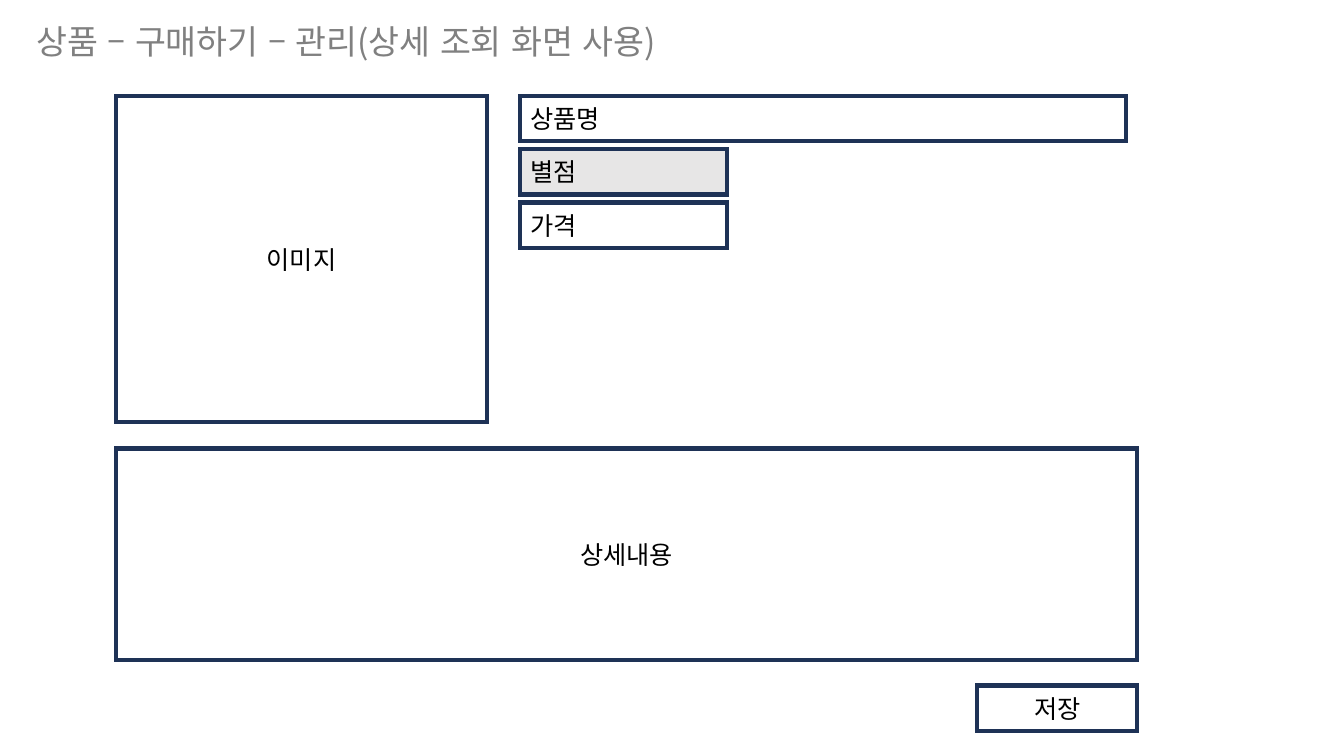
from dataclasses import dataclass

import lxml.etree
import pptx
import pptx.dml.color
import pptx.enum.lang
import pptx.enum.shapes
import pptx.enum.text
import pptx.oxml.ns
import pptx.slide
import pptx.text.text
import pptx.util

Inches = pptx.util.Inches
Align = pptx.enum.text.PP_ALIGN
Anchor = pptx.enum.text.MSO_ANCHOR


@dataclass(frozen=True)
class Theme:
    font: str = "Noto Sans CJK KR"
    title_size: int = 24
    label_size: int = 18
    border_width: int = 3
    title: str = "808080"
    label: str = "000000"
    border: str = "1E3256"
    editable: str = "FFFFFF"
    read_only: str = "E7E6E6"


THEME = Theme()


@dataclass(frozen=True)
class Field:
    label: str
    left: float
    top: float
    width: float
    height: float = 0.45
    fill: str = THEME.editable
    align: Align = Align.LEFT


LEFT = 1.15
RIGHT = 11.28
TOP = 0.95
INFO_LEFT = 5.16
INFO_STEP = 0.53
SHORT_WIDTH = 2.05
SAVE_WIDTH = 1.59

FIELDS = [
    Field("이미지", LEFT, TOP, 3.68, 3.24, align=Align.CENTER),
    Field("상품명", INFO_LEFT, TOP, 6.01),
    Field("별점", INFO_LEFT, TOP + INFO_STEP, SHORT_WIDTH, fill=THEME.read_only),
    Field("가격", INFO_LEFT, TOP + 2 * INFO_STEP, SHORT_WIDTH),
    Field("상세내용", LEFT, 4.45, RIGHT - LEFT, 2.1, align=Align.CENTER),
    Field("저장", RIGHT - SAVE_WIDTH, 6.8, SAVE_WIDTH, align=Align.CENTER),
]


def rgb(value: str) -> pptx.dml.color.RGBColor:
    return pptx.dml.color.RGBColor.from_string(value)


def write_text(frame: pptx.text.text.TextFrame, text: str, *, size: int, color: str,
               align: Align = Align.LEFT, anchor: Anchor = Anchor.MIDDLE) -> None:
    frame.word_wrap = True
    frame.auto_size = pptx.enum.text.MSO_AUTO_SIZE.NONE
    frame.vertical_anchor = anchor
    para = frame.paragraphs[0]
    para.alignment = align
    span = para.add_run()
    span.text = text
    span.font.name = THEME.font
    span.font.size = pptx.util.Pt(size)
    span.font.color.rgb = rgb(color)
    span.font.language_id = pptx.enum.lang.MSO_LANGUAGE_ID.KOREAN
    span.font._element.set("kern", "0")
    east_asian = lxml.etree.SubElement(span.font._element, pptx.oxml.ns.qn("a:ea"))
    east_asian.set("typeface", THEME.font)


def add_title(page: pptx.slide.Slide, text: str) -> None:
    title = page.shapes.title
    title.left, title.top = Inches(0.26), Inches(0.16)
    title.width, title.height = Inches(7.5), Inches(0.46)
    write_text(title.text_frame, text, size=THEME.title_size, color=THEME.title,
               anchor=Anchor.TOP)


def add_field(page: pptx.slide.Slide, field: Field) -> None:
    box = page.shapes.add_shape(
        pptx.enum.shapes.MSO_SHAPE.RECTANGLE,
        Inches(field.left), Inches(field.top), Inches(field.width), Inches(field.height),
    )
    box.shadow.inherit = False
    box.fill.solid()
    box.fill.fore_color.rgb = rgb(field.fill)
    box.line.color.rgb = rgb(THEME.border)
    box.line.width = pptx.util.Pt(THEME.border_width)
    outline = box._element.spPr.find(pptx.oxml.ns.qn("a:ln"))
    lxml.etree.SubElement(outline, pptx.oxml.ns.qn("a:miter")).set("lim", "800000")
    write_text(box.text_frame, field.label, size=THEME.label_size, color=THEME.label,
               align=field.align)


def main() -> None:
    deck = pptx.Presentation()
    deck.slide_width, deck.slide_height = Inches(13.33), Inches(7.5)
    page = deck.slides.add_slide(deck.slide_layouts.get_by_name("Title Only"))
    add_title(page, "상품 – 구매하기 – 관리(상세 조회 화면 사용)")
    for field in FIELDS:
        add_field(page, field)
    deck.save("out.pptx")


if __name__ == "__main__":
    main()
